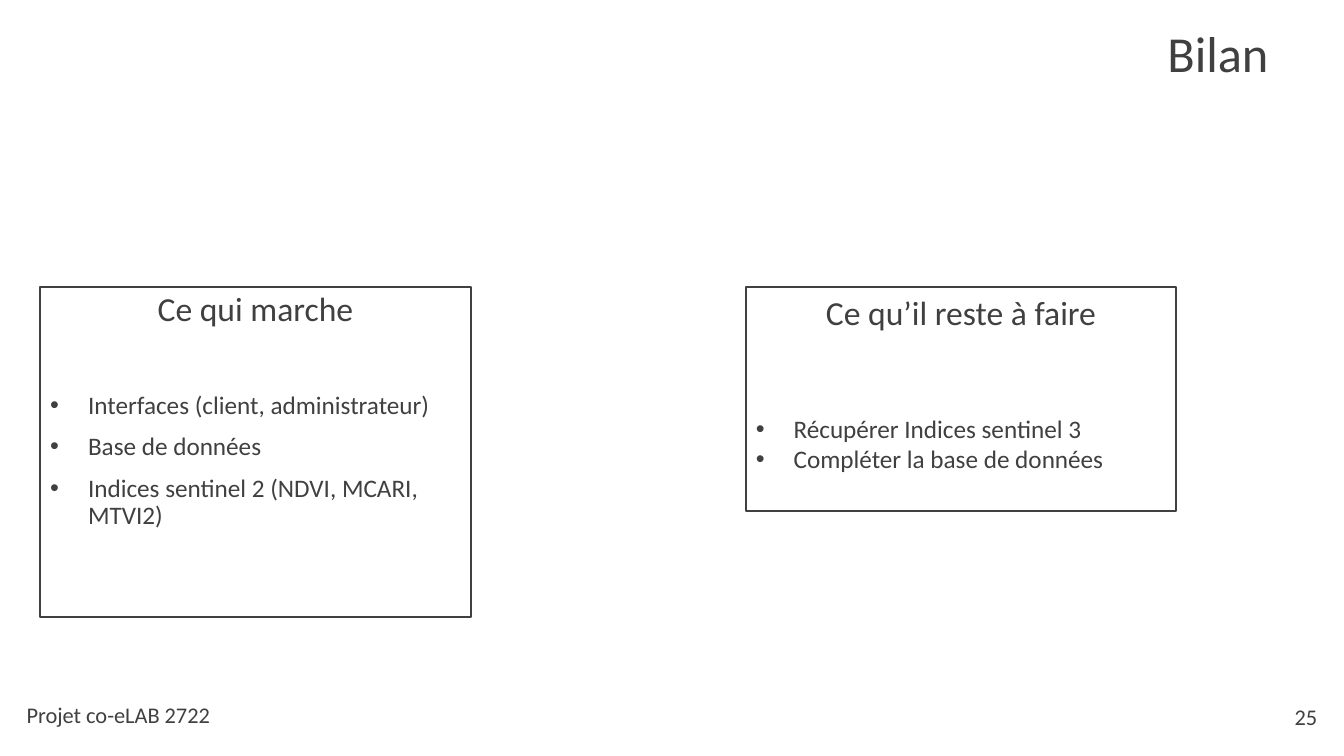
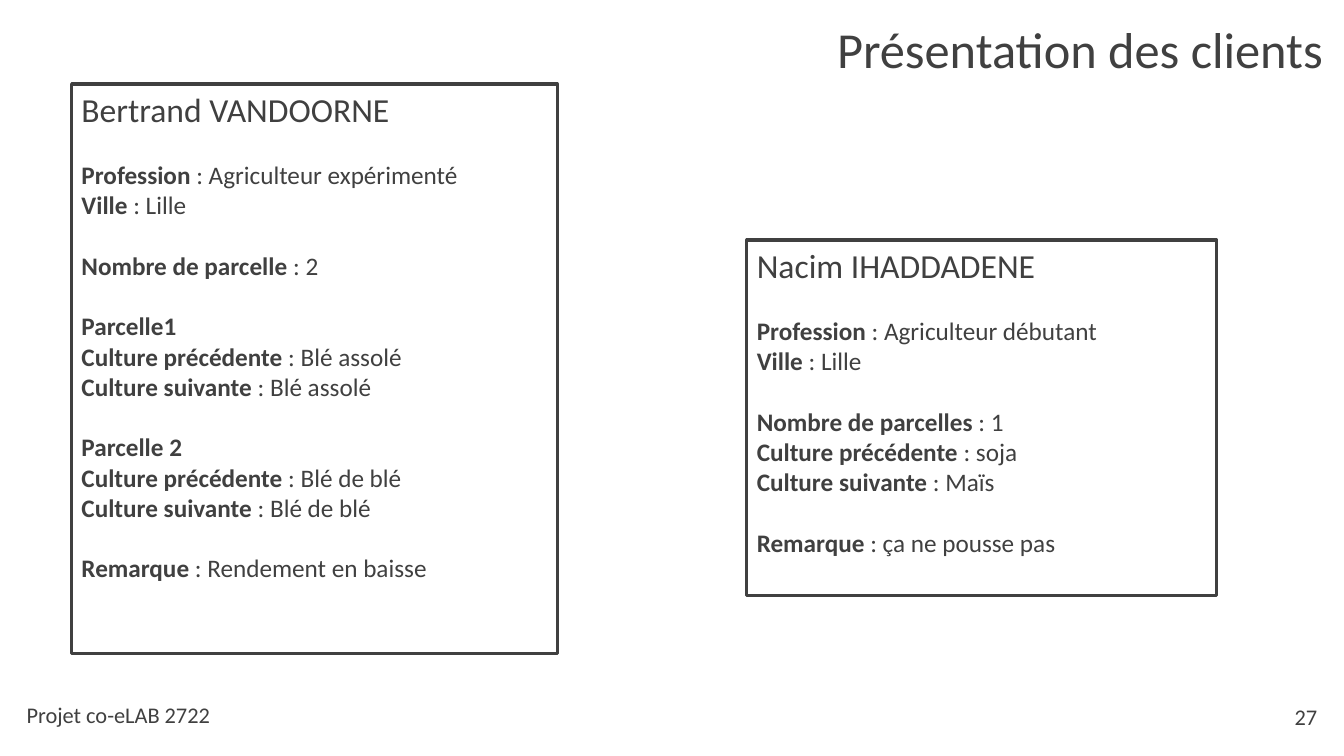
"""Build two project slides: the review and the client profiles."""
from dataclasses import dataclass

from lxml import etree
from pptx import Presentation
from pptx.dml.color import RGBColor
from pptx.enum import shapes, text
from pptx.oxml.ns import qn
from pptx.util import Pt


@dataclass(frozen=True)
class Theme:
    ink: RGBColor = RGBColor(0x40, 0x40, 0x40)
    font: str = "Calibri"
    title: int = 36
    heading: int = 24
    body: int = 18
    footer: int = 16
    indent: int = 27
    group_gap: float = 21.6


THEME = Theme()
ALIGN = text.PP_ALIGN
ANCHOR = text.MSO_ANCHOR
FOOTER = "Projet co-eLAB 2722"

REVIEW = {
    "title": "Bilan", "title_area": (780, 0, 180, 63), "number": "25",
    "cards": [
        {"heading": "Ce qui marche", "area": (28.8, 205.2, 307.4, 235.4),
         "heading_gap": 46, "item_gap": 10, "spacing": 0.9,
         "bullets": ["Interfaces (client, administrateur)", "Base de données",
                     "Indices sentinel 2 (NDVI, MCARI, MTVI2)"]},
        {"heading": "Ce qu’il reste à faire", "area": (532.8, 205.2, 307.4, 159.8),
         "heading_gap": 57.6, "item_gap": 0, "spacing": 1.0,
         "bullets": ["Récupérer Indices sentinel 3", "Compléter la base de données"]},
    ],
}

CLIENTS = {
    "title": "Présentation des clients", "title_area": (583.2, 0, 376.6, 60.5), "number": "27",
    "cards": [
        {"heading": "Bertrand VANDOORNE", "area": (51.1, 60, 347, 406.8),
         "groups": [
             [("Profession", " : Agriculteur expérimenté"), ("Ville", " : Lille")],
             [("Nombre de parcelle", " : 2")],
             [("Parcelle1", ""), ("Culture précédente", " : Blé assolé"),
              ("Culture suivante", " : Blé assolé")],
             [("Parcelle 2", ""), ("Culture précédente", " : Blé de blé"),
              ("Culture suivante", " : Blé de blé")],
             [("Remarque", " : Rendement en baisse")],
         ]},
        {"heading": "Nacim IHADDADENE", "area": (533.5, 171.4, 335.5, 254.2),
         "groups": [
             [("Profession", " : Agriculteur débutant"), ("Ville", " : Lille")],
             [("Nombre de parcelles", " : 1"), ("Culture précédente", " : soja"),
              ("Culture suivante", " : Maïs")],
             [("Remarque", " : ça ne pousse pas")],
         ]},
    ],
}


def style(paragraph, size, align=ALIGN.LEFT, before=0, spacing=1.0):
    paragraph.alignment = align
    paragraph.line_spacing = spacing
    paragraph.space_before = Pt(before)
    font = paragraph.font
    font.name, font.size = THEME.font, Pt(size)
    font.color.rgb = THEME.ink


def add_label(slide, area, words, size, align=ALIGN.LEFT, anchor=ANCHOR.TOP, spacing=1.0):
    frame = slide.shapes.add_textbox(*map(Pt, area)).text_frame
    frame.word_wrap = True
    frame.vertical_anchor = anchor
    frame.text = words
    style(frame.paragraphs[0], size, align, spacing=spacing)


def add_card(slide, card, border, align, spacing=1.0):
    box = slide.shapes.add_shape(shapes.MSO_SHAPE.RECTANGLE, *map(Pt, card["area"]))
    box.shadow.inherit = False
    box.fill.background()
    box.line.color.rgb = THEME.ink
    box.line.width = Pt(border)
    frame = box.text_frame
    frame.word_wrap = True
    frame.vertical_anchor = ANCHOR.TOP
    frame.text = card["heading"]
    style(frame.paragraphs[0], THEME.heading, align, spacing=spacing)
    return frame


def add_bullet_card(slide, card):
    frame = add_card(slide, card, 1.5, ALIGN.CENTER, card["spacing"])
    for index, item in enumerate(card["bullets"]):
        paragraph = frame.add_paragraph()
        paragraph.text = item
        properties = paragraph._p.get_or_add_pPr()
        properties.set("marL", str(Pt(THEME.indent)))
        properties.set("indent", str(-Pt(THEME.indent)))
        etree.SubElement(properties, qn("a:buFont"), typeface="Arial")
        etree.SubElement(properties, qn("a:buChar"), char="•")
        before = card["item_gap"] if index else card["heading_gap"]
        style(paragraph, THEME.body, before=before, spacing=card["spacing"])


def add_client_card(slide, card):
    frame = add_card(slide, card, 2.25, ALIGN.LEFT)
    for group in card["groups"]:
        for index, (label, value) in enumerate(group):
            paragraph = frame.add_paragraph()
            label_run = paragraph.add_run()
            label_run.text = label
            label_run.font.bold = True
            if value:
                paragraph.add_run().text = value
            style(paragraph, THEME.body, before=0 if index else THEME.group_gap)


def add_page(deck, page, draw_card):
    slide = deck.slides.add_slide(deck.slide_layouts[6])
    add_label(slide, page["title_area"], page["title"], THEME.title,
              ALIGN.CENTER, ANCHOR.BOTTOM, 0.9)
    add_label(slide, (12, 497.5, 324, 29), FOOTER, THEME.footer)
    add_label(slide, (732, 497, 216, 29), page["number"], THEME.footer,
              ALIGN.RIGHT, ANCHOR.MIDDLE)
    for card in page["cards"]:
        draw_card(slide, card)


def main():
    deck = Presentation()
    deck.slide_width, deck.slide_height = Pt(960), Pt(540)
    add_page(deck, REVIEW, add_bullet_card)
    add_page(deck, CLIENTS, add_client_card)
    deck.save("out.pptx")


if __name__ == "__main__":
    main()
